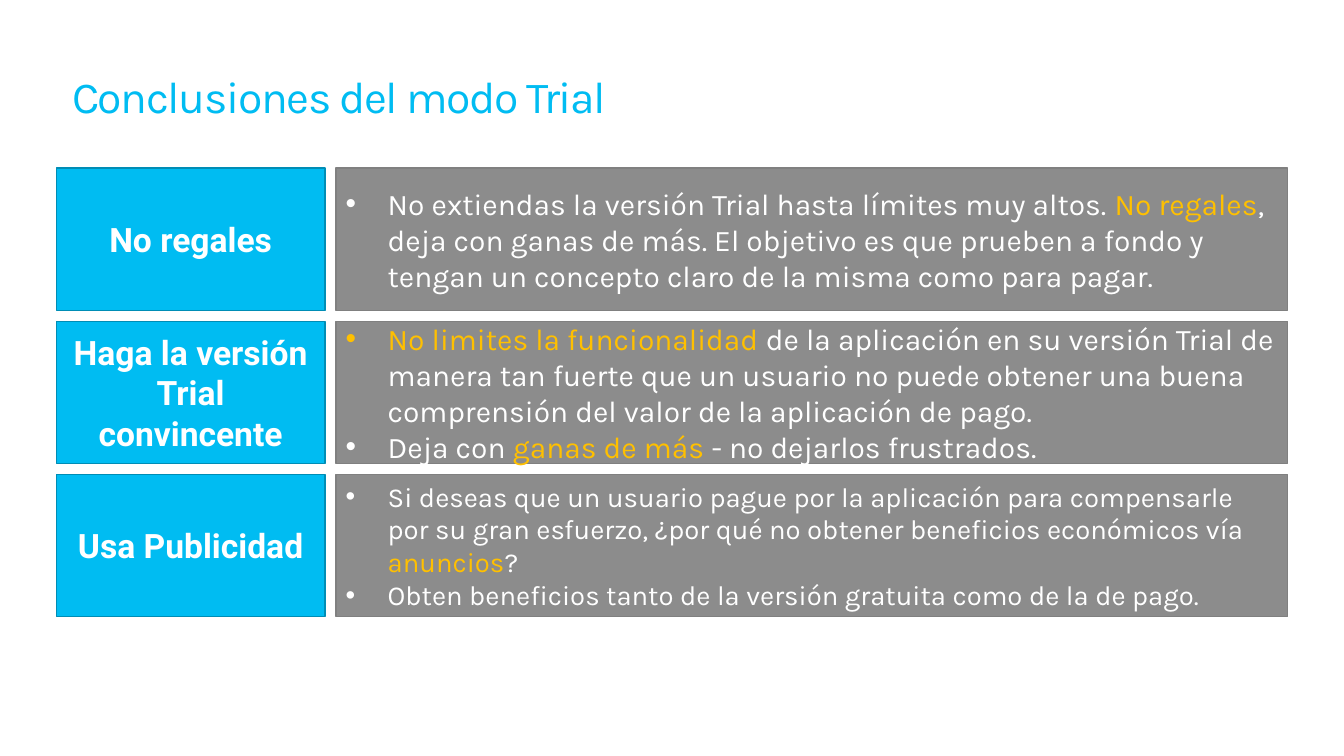
from lxml import etree
from pptx import Presentation
from pptx import util as u
from pptx.dml import color
from pptx.enum import shapes, text
from pptx.oxml import ns

BLUE, EDGE, GRAY, RIM = "00BCF2", "008DB5", "8C8C8C", "808080"
WHITE, GOLD = "FFFFFF", "FFC000"


def rgb(code):
    return color.RGBColor.from_string(code)


class Deck:
    body, head = "Karla", "Roboto"

    def __init__(self, wide, high):
        self.prs = Presentation()
        self.prs.slide_width, self.prs.slide_height = u.Pt(wide), u.Pt(high)
        self.slide = self.prs.slides.add_slide(self.prs.slide_layouts[6])

    def style(self, run, face, size, tint, bold=False):
        font = run.font
        font.name, font.size, font.bold = face, u.Pt(size), bold
        font.color.rgb = rgb(tint)

    def title(self, words, *area):
        frame = self.slide.shapes.add_textbox(*map(u.Pt, area)).text_frame
        frame.word_wrap = True
        frame.margin_left = frame.margin_right = u.Pt(11.5)
        frame.margin_top = frame.margin_bottom = u.Pt(7.2)
        frame.text = words
        para = frame.paragraphs[0]
        para.line_spacing = 0.9
        run = para.runs[0]
        self.style(run, self.body, 32.4, BLUE)
        run.font._element.set("spc", "-100")

    def box(self, fill, line, *area):
        rect = self.slide.shapes.add_shape(
            shapes.MSO_SHAPE.RECTANGLE, *map(u.Pt, area))
        rect.shadow.inherit = False
        rect.fill.solid()
        rect.fill.fore_color.rgb = rgb(fill)
        rect.line.color.rgb = rgb(line)
        rect.line.width = u.Pt(0.85)
        frame = rect.text_frame
        frame.word_wrap = True
        frame.vertical_anchor = text.MSO_ANCHOR.MIDDLE
        return frame

    def label(self, words, *area):
        frame = self.box(BLUE, EDGE, *area)
        frame.text = words
        para = frame.paragraphs[0]
        para.alignment = text.PP_ALIGN.CENTER
        self.style(para.runs[0], self.head, 24.5, WHITE, True)

    def points(self, items, size, *area):
        frame = self.box(GRAY, RIM, *area)
        for i, item in enumerate(items):
            para = frame.add_paragraph() if i else frame.paragraphs[0]
            para.alignment = text.PP_ALIGN.LEFT
            self.bullet(para)
            # Words between asterisks are gold
            for j, part in enumerate(item.split("*")):
                if part:
                    run = para.add_run()
                    run.text = part
                    self.style(run, self.body, size, GOLD if j % 2 else WHITE)

    def bullet(self, para):
        props = para._p.get_or_add_pPr()
        props.set("marL", str(u.Pt(30.6)))
        props.set("indent", str(u.Pt(-30.6)))
        etree.SubElement(props, ns.qn("a:buFont")).set("typeface", "Arial")
        etree.SubElement(props, ns.qn("a:buChar")).set("char", "•")


ROWS = [
    ("No regales", 21.8, [
        "No extiendas la versión Trial hasta límites muy altos. *No regales*, "
        "deja con ganas de más. El objetivo es que prueben a fondo y tengan "
        "un concepto claro de la misma como para pagar."]),
    ("Haga la versión Trial convincente", 21.8, [
        "*No limites la funcionalidad *de la aplicación en su versión Trial "
        "de manera tan fuerte que un usuario no puede obtener una buena "
        "comprensión del valor de la aplicación de pago.",
        "Deja con *ganas de más *- no dejarlos frustrados."]),
    ("Usa Publicidad", 20, [
        "Si deseas que un usuario pague por la aplicación para compensarle "
        "por su gran esfuerzo, ¿por qué no obtener beneficios económicos vía "
        "*anuncios*?",
        "Obten beneficios tanto de la versión gratuita como de la de pago."]),
]


def main():
    deck = Deck(979.2, 550.8)

    # Title
    deck.title("Conclusiones del modo Trial", 41, 47.5, 881.3, 45.4)

    # Rows: blue label on the left, gray points on the right
    top, step, high = 122.4, 111.6, 103.7
    for i, (name, size, items) in enumerate(ROWS):
        y = top + i * step
        deck.points(items, size, 244.8, y, 693.4, high)
        deck.label(name, 41, y, 195.8, high)

    deck.prs.save("out.pptx")


if __name__ == "__main__":
    main()
